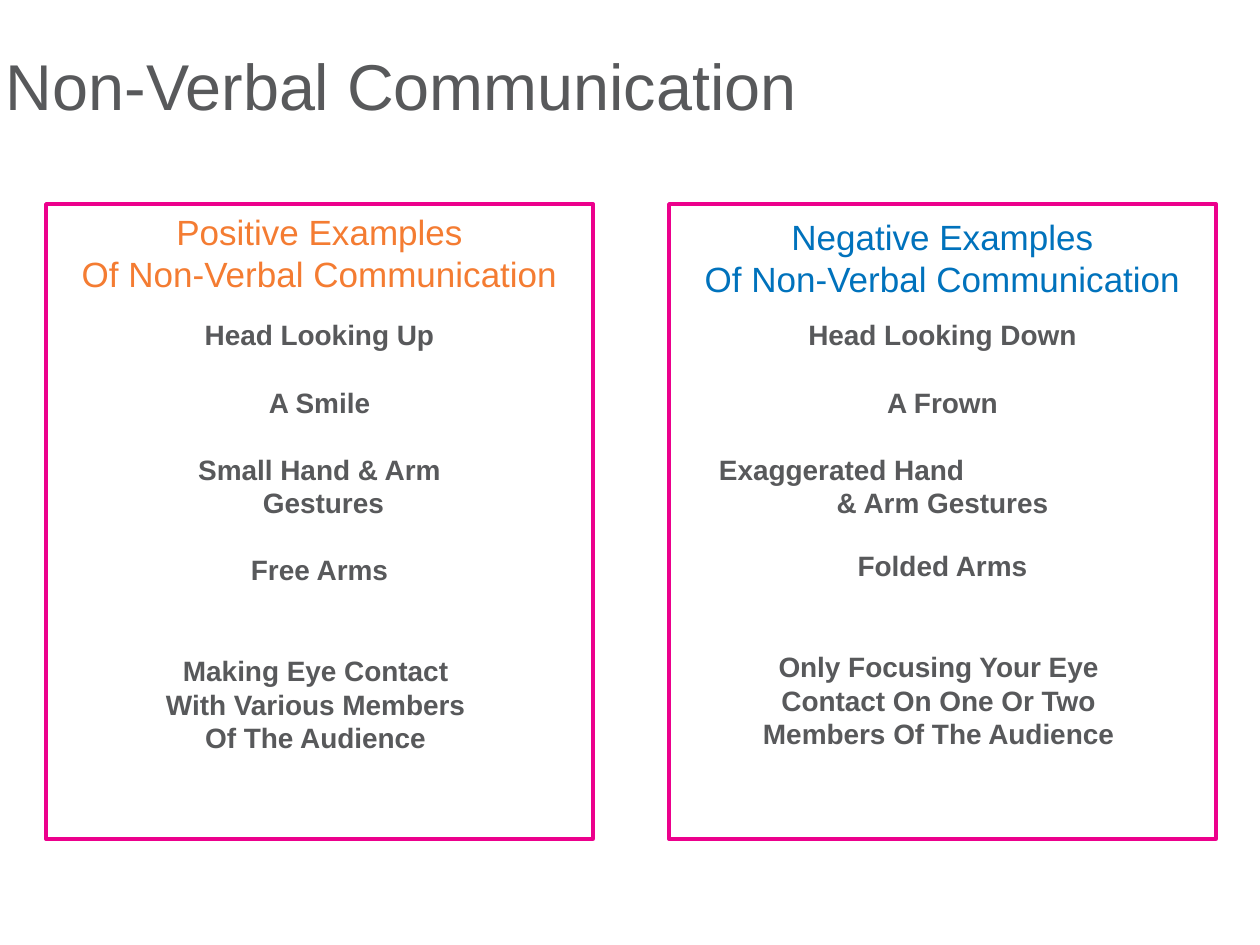
from pptx import Presentation
from pptx.dml.color import RGBColor
from pptx.enum.shapes import MSO_SHAPE as SHAPE
from pptx.enum.text import MSO_ANCHOR as ANCHOR, PP_ALIGN as ALIGN
from pptx.util import Emu, Pt

PX = 914400 // 126
GREY, PINK, ORANGE, BLUE = "58595B", "EC008C", "F47C32", "0072BC"
PANEL_TOP, PANEL_W, PANEL_H = 204, 547, 635
BODY_TOP, BODY_H = 312, 440
LEADING = 1.2  # line height as a multiple of the text size

# Each line: text, size in points of the gap above it, left indent in px
POSITIVE = [
    ("Head Looking Up", 0, 0),
    ("A Smile", 16, 0),
    ("Small Hand & Arm", 16, 0),
    (" Gestures", 0, 0),
    ("Free Arms", 16, 0),
    ("Making Eye Contact ", 32, 0),
    ("With Various Members ", 0, 0),
    ("Of The Audience ", 0, 0),
]
NEGATIVE = [
    ("Head Looking Down", 0, 0),
    ("A Frown", 16, 0),
    ("Exaggerated Hand", 16, 44),
    ("& Arm Gestures", 0, 0),
    ("Folded Arms", 14, 0),
    ("Only Focusing Your Eye ", 32, 0),
    ("Contact On One Or Two ", 0, 0),
    ("Members Of The Audience ", 0, 0),
]


def px(n):
    return Emu(n * PX)


def rgb(value):
    return RGBColor.from_string(value)


def add_box(s, x, y, w, h, anchor=ANCHOR.TOP):
    """Add an empty text box and return its text frame."""
    tf = s.shapes.add_textbox(px(x), px(y), px(w), px(h)).text_frame
    tf.word_wrap = True
    tf.vertical_anchor = anchor
    tf.margin_left = tf.margin_right = px(6)
    tf.margin_top = tf.margin_bottom = px(6)
    return tf


def add_run(p, text, size, color, bold=False):
    r = p.add_run()
    r.text = text
    r.font.name = "Arial"
    r.font.size = Pt(size)
    r.font.bold = bold
    r.font.color.rgb = rgb(color)


def add_lines(tf, lines, size, color, bold=False):
    """Fill a text frame with centred lines; an indented line goes left."""
    for i, (text, gap, indent) in enumerate(lines):
        p = tf.add_paragraph() if i else tf.paragraphs[0]
        p.alignment = ALIGN.LEFT if indent else ALIGN.CENTER
        p.line_spacing = Pt(size * LEADING)
        if gap:
            p.space_before = Pt(gap * LEADING)
        if indent:
            p._p.get_or_add_pPr().set("marL", str(px(indent)))
        add_run(p, text, size, color, bold)


def add_panel(s, x):
    sp = s.shapes.add_shape(SHAPE.RECTANGLE, px(x), px(PANEL_TOP),
                            px(PANEL_W), px(PANEL_H))
    sp.shadow.inherit = False
    sp.fill.solid()
    sp.fill.fore_color.rgb = rgb("FFFFFF")
    sp.line.color.rgb = rgb(PINK)
    sp.line.width = Pt(2)


def add_column(s, x, heading_top, word, color, examples):
    """Add a framed column with its two-line heading and examples."""
    add_panel(s, x)
    heading = [(f"{word} Examples", 0, 0), ("Of Non-Verbal Communication", 0, 0)]
    add_lines(add_box(s, x, heading_top, PANEL_W, 92), heading, 20, color)
    add_lines(add_box(s, x, BODY_TOP, PANEL_W, BODY_H), examples, 16, GREY, True)


def main():
    prs = Presentation()
    prs.slide_width, prs.slide_height = px(1260), px(945)
    s = prs.slides.add_slide(prs.slide_layouts[6])

    # Title
    tf = add_box(s, 0, 40, 960, 90, ANCHOR.MIDDLE)
    add_run(tf.paragraphs[0], "Non-Verbal Communication", 37, GREY)

    # Columns
    add_column(s, 46, 204, "Positive", ORANGE, POSITIVE)
    add_column(s, 669, 209, "Negative", BLUE, NEGATIVE)

    prs.save("out.pptx")


if __name__ == "__main__":
    main()
